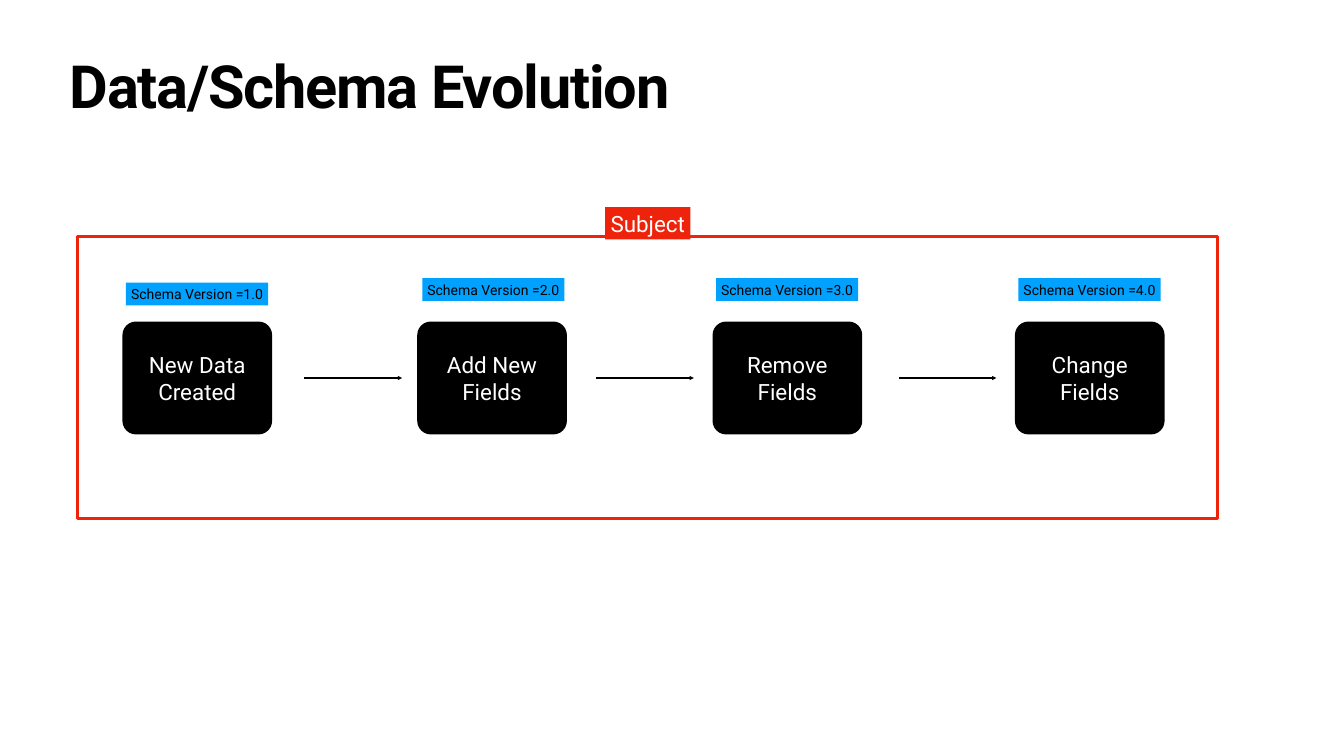
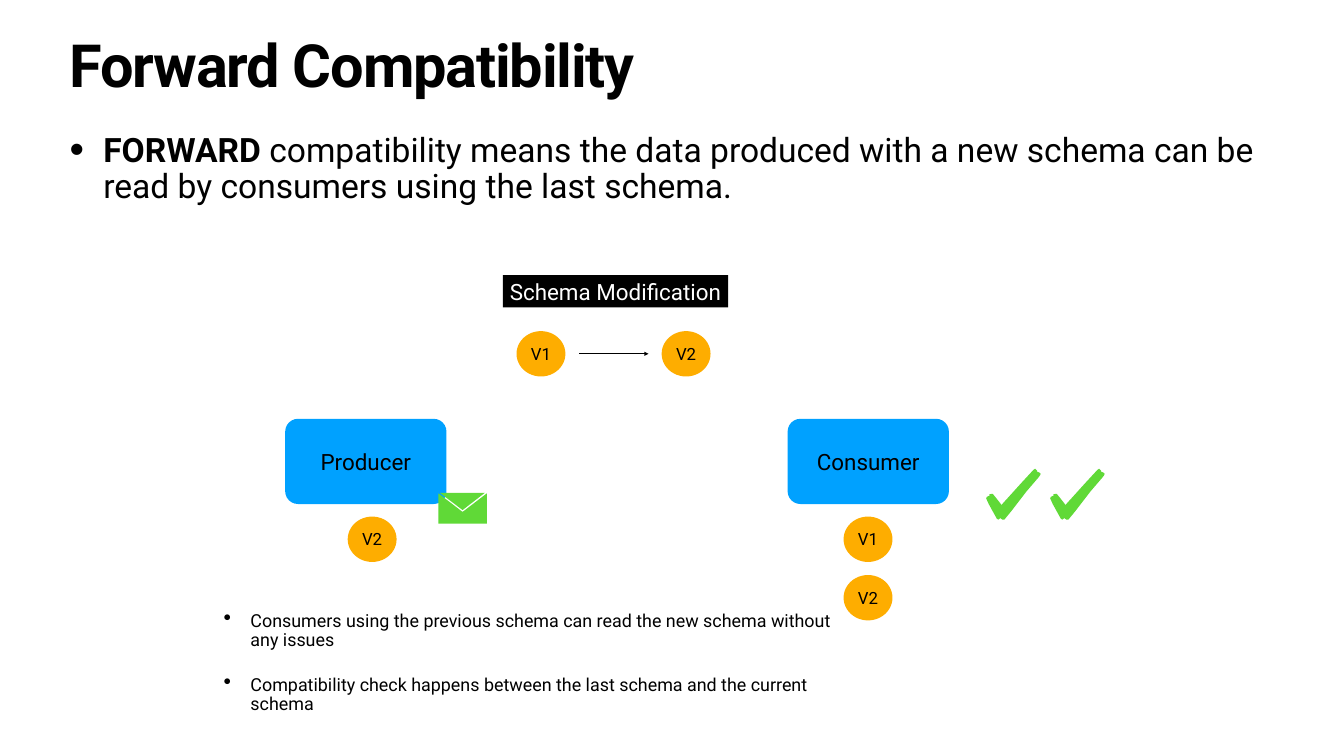
import pptx
import pptx.util
import pptx.dml.color
import pptx.enum.shapes
import pptx.enum.text
import lxml.etree

Inches, Pt = pptx.util.Inches, pptx.util.Pt
RGBColor = pptx.dml.color.RGBColor
Kind = pptx.enum.shapes.MSO_SHAPE
Fit = pptx.enum.text.MSO_AUTO_SIZE
Anchor = pptx.enum.text.MSO_ANCHOR
Align = pptx.enum.text.PP_ALIGN

BLACK = RGBColor(0x00, 0x00, 0x00)
WHITE = RGBColor(0xFF, 0xFF, 0xFF)
BLUE = RGBColor(0x00, 0xA1, 0xFF)
RED = RGBColor(0xEE, 0x23, 0x0C)
AMBER = RGBColor(0xFE, 0xAD, 0x00)
GREEN = RGBColor(0x60, 0xD9, 0x37)
FONT = "Roboto"
NS = "http://schemas.openxmlformats.org/drawingml/2006/main"

STAGES = [
    ("New Data Created", 2.43, "Schema Version =1.0", 2.5, 5.61),
    ("Add New Fields", 8.28, "Schema Version =2.0", 8.38, 5.52),
    ("Remove Fields", 14.14, "Schema Version =3.0", 14.21, 5.52),
    ("Change Fields", 20.14, "Schema Version =4.0", 20.21, 5.52),
]
STEPS = [6.04, 11.83, 17.83]
LEAD = [[
    ("FORWARD", True),
    (" compatibility means the data produced with a new schema "
     "can be read by consumers using the last schema.", False),
]]
NOTES = [
    [("Consumers using the previous schema can read the new schema "
      "without any issues", False)],
    [("Compatibility check happens between the last schema and the "
      "current schema", False)],
]
ROLES = [("Producer", 5.66), ("Consumer", 15.63)]
BADGES = [
    ("V1", 10.25, 6.57), ("V2", 13.13, 6.57), ("V2", 6.9, 10.25),
    ("V1", 16.74, 10.25), ("V2", 16.74, 11.41),
]
MAIL = [
    [(3, 0), (48, 34), (92, 0)],
    [(0, 1), (0, 61), (96, 61), (96, 1), (49, 37), (47, 37)],
]
TICK = [[
    (97, 0), (94, 2), (70, 28), (32, 70), (30, 72), (29, 70), (18, 56),
    (13, 50), (10, 50), (6, 51), (7, 53), (1, 56), (0, 59), (5, 70),
    (16, 90), (21, 99), (24, 101), (28, 98), (32, 101), (36, 101),
    (50, 84), (80, 45), (104, 17), (107, 13), (108, 10), (106, 8),
    (104, 7), (101, 6), (101, 4), (100, 3),
]]


def place(item, left, top, width, height):
    item.left, item.top = Inches(left), Inches(top)
    item.width, item.height = Inches(width), Inches(height)


def inset(frame, anchor, fit=Fit.NONE, wrap=True):
    frame.margin_left = frame.margin_right = Inches(0.06)
    frame.margin_top = frame.margin_bottom = Inches(0.06)
    frame.vertical_anchor = anchor
    frame.auto_size = fit
    frame.word_wrap = wrap


def style(para, size, color, align, bold=None):
    para.alignment = align
    font = para.font
    font.name, font.size, font.bold = FONT, Pt(size), bold
    font.color.rgb = color


def paint(shape, fill, edge=None):
    shape.shadow.inherit = False
    if fill is None:
        shape.fill.background()
    else:
        shape.fill.solid()
        shape.fill.fore_color.rgb = fill
    if edge is None:
        shape.line.fill.background()
    else:
        shape.line.color.rgb = edge
        shape.line.width = Pt(4)


def block(slide, kind, box, fill, text, size, color, curve=None, wrap=True):
    shape = slide.shapes.add_shape(kind, *map(Inches, box))
    paint(shape, fill)
    if curve:
        shape.adjustments[0] = curve
    fit = Fit.NONE if wrap else Fit.SHAPE_TO_FIT_TEXT
    inset(shape.text_frame, Anchor.MIDDLE, fit, wrap)
    para = shape.text_frame.paragraphs[0]
    para.text = text
    style(para, size, color, Align.CENTER)


def label(slide, box, fill, text, size, color):
    block(slide, Kind.RECTANGLE, box, fill, text, size, color, wrap=False)


def arrow(slide, left, top, width):
    line = slide.shapes.add_connector(
        pptx.enum.shapes.MSO_CONNECTOR.STRAIGHT,
        Inches(left), Inches(top), Inches(left + width), Inches(top))
    line.line.color.rgb = BLACK
    line.line.width = Pt(2)
    lxml.etree.SubElement(line.line._get_or_add_ln(), f"{{{NS}}}tailEnd",
                          type="triangle")
    lxml.etree.SubElement(line._element.spPr, f"{{{NS}}}effectLst")


def icon(slide, paths, left, top):
    first, *rest = paths
    pen = slide.shapes.build_freeform(*first[0], scale=Inches(0.01))
    pen.add_line_segments(first[1:], close=True)
    for path in rest:
        pen.move_to(*path[0])
        pen.add_line_segments(path[1:], close=True)
    paint(pen.convert_to_shape(Inches(left), Inches(top)), GREEN)


def bullets(frame, items, size, indent, gap):
    inset(frame, Anchor.TOP)
    for num, parts in enumerate(items):
        para = frame.add_paragraph() if num else frame.paragraphs[0]
        for text, bold in parts:
            run = para.add_run()
            run.text = text
            run.font.bold = bold
        props = para._p.get_or_add_pPr()
        props.set("marL", str(Inches(indent)))
        props.set("indent", str(-Inches(indent)))
        lxml.etree.SubElement(props, f"{{{NS}}}buSzPct", val="123000")
        lxml.etree.SubElement(props, f"{{{NS}}}buChar", char="•")
        para.line_spacing = 0.9
        para.space_before = Pt(gap if num else 0)
        style(para, size, BLACK, Align.LEFT)


def start(deck, layout, text, top):
    slide = deck.slides.add_slide(deck.slide_layouts[layout])
    title = slide.shapes.title
    place(title, 1.32, top, 24.03, 1.57)
    inset(title.text_frame, Anchor.TOP)
    para = title.text_frame.paragraphs[0]
    para.text = text
    para.line_spacing = 0.8
    para.space_before = Pt(0)
    style(para, 85, BLACK, Align.LEFT, True)
    para.runs[0]._r.get_or_add_rPr().set("spc", "-170")
    return slide


def evolve(deck):
    slide = start(deck, 5, "Data/Schema Evolution", 1.18)
    for text, left, tag, side, top in STAGES:
        block(slide, Kind.ROUNDED_RECTANGLE, (left, 6.38, 2.97, 2.24),
              BLACK, text, 32, WHITE, 0.12)
        label(slide, (side, top, 2.82, 0.45), BLUE, tag, 20, BLACK)
    for left in STEPS:
        arrow(slide, left, 7.5, 1.94)
    frame = slide.shapes.add_shape(
        Kind.RECTANGLE, *map(Inches, (1.54, 4.7, 22.62, 5.59)))
    paint(frame, None, RED)
    label(slide, (12.01, 4.11, 1.69, 0.64), RED, "Subject", 32, WHITE)


def forward(deck):
    slide = start(deck, 1, "Forward Compatibility", 0.76)
    body = slide.placeholders[1]
    place(body, 1.32, 2.58, 24.03, 11.09)
    bullets(body.text_frame, LEAD, 48, 0.67, 45)
    label(slide, (9.98, 5.46, 4.47, 0.64), BLACK,
          "Schema Modification", 32, WHITE)
    arrow(slide, 11.49, 7.02, 1.38)
    for text, left in ROLES:
        block(slide, Kind.ROUNDED_RECTANGLE, (left, 8.31, 3.2, 1.69),
              BLUE, text, 32, BLACK, 0.15)
    for text, left, top in BADGES:
        block(slide, Kind.OVAL, (left, top, 0.97, 0.9),
              AMBER, text, 24, BLACK)
    icon(slide, MAIL, 8.7, 9.78)
    for left in (19.57, 20.84):
        icon(slide, TICK, left, 9.3)
    notes = slide.shapes.add_textbox(
        *map(Inches, (4.38, 12.08, 12.19, 2.2)))
    bullets(notes.text_frame, NOTES, 25.6, 0.53, 36)


def main():
    deck = pptx.Presentation()
    deck.slide_width, deck.slide_height = Inches(26.67), Inches(15)
    evolve(deck)
    forward(deck)
    deck.save("out.pptx")


if __name__ == "__main__":
    main()
